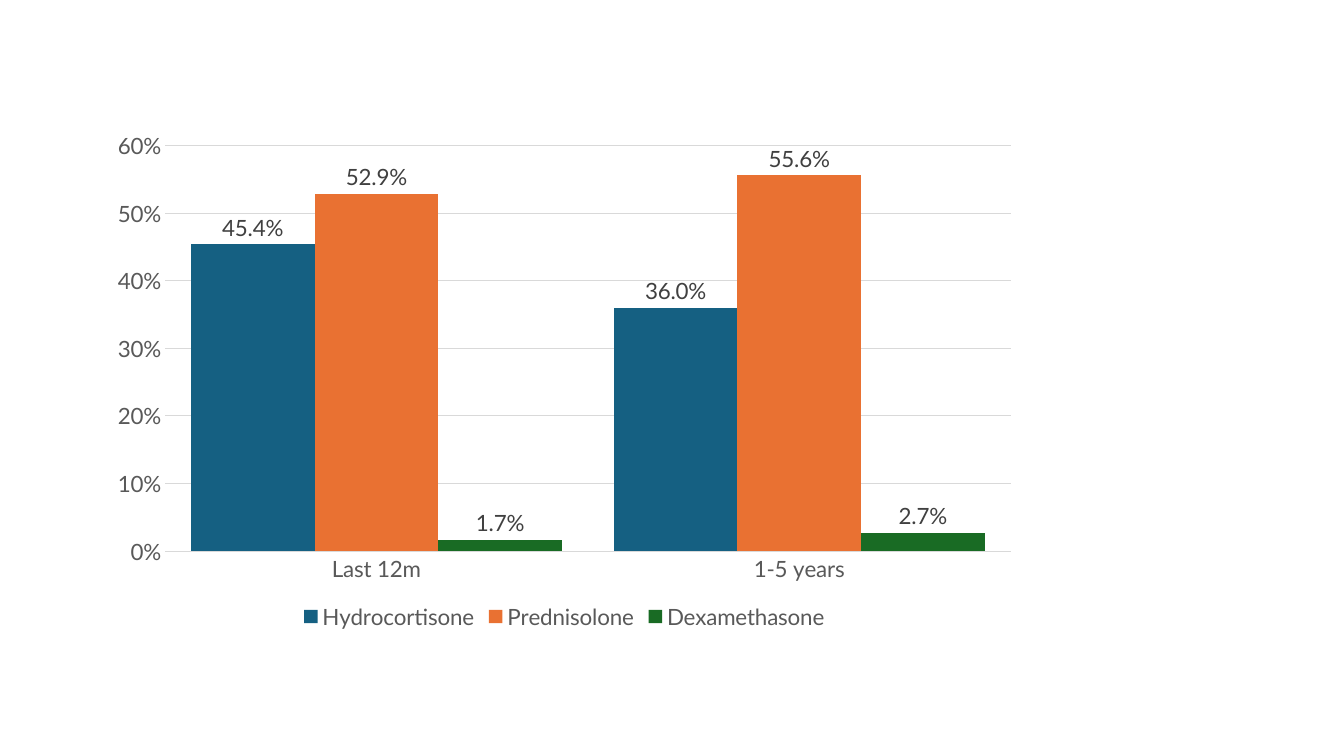
from pptx import Presentation
from pptx import util as u
from pptx.chart.data import CategoryChartData
from pptx.dml.color import RGBColor
from pptx.enum import chart as ch

PERIODS = ["Last 12m", "1-5 years"]
STEROIDS = [
    ("Hydrocortisone", "156082", (0.454, 0.36)),
    ("Prednisolone", "E97132", (0.529, 0.556)),
    ("Dexamethasone", "196B24", (0.017, 0.027)),
]


def rgb(value):
    """Return the colour for a hex string."""
    return RGBColor.from_string(value)


def style_font(font, size=16, color="595959", name="Lato"):
    """Format the text of one chart part."""
    font.size = u.Pt(size)
    font.name = name
    font.bold = False
    font.color.rgb = rgb(color)


def style_axes(chart):
    """Format both axes and the horizontal gridlines."""
    for axis in (chart.category_axis, chart.value_axis):
        axis.major_tick_mark = axis.minor_tick_mark = ch.XL_TICK_MARK.NONE
        axis.format.line.fill.background()
        style_font(axis.tick_labels.font)
    axis = chart.value_axis
    axis.minimum_scale, axis.maximum_scale, axis.major_unit = 0, 0.6, 0.1
    axis.tick_labels.number_format = "0%"
    axis.tick_labels.number_format_is_linked = False
    grid = axis.major_gridlines.format.line
    grid.width = u.Pt(0.75)
    grid.color.rgb = rgb("D9D9D9")


def style_series(series, color):
    """Colour one series and label its columns."""
    series.format.fill.solid()
    series.format.fill.fore_color.rgb = rgb(color)
    series.invert_if_negative = False
    labels = series.data_labels
    labels.show_value = True
    labels.number_format = "0.0%"
    labels.number_format_is_linked = False
    labels.position = ch.XL_LABEL_POSITION.OUTSIDE_END
    style_font(labels.font, color="404040")


def add_steroid_chart(slide, left, top, width, height):
    """Place the clustered column chart in the given box."""
    data = CategoryChartData(number_format="0.0%")
    data.categories = PERIODS
    for name, _, values in STEROIDS:
        data.add_series(name, values)
    chart = slide.shapes.add_chart(
        ch.XL_CHART_TYPE.COLUMN_CLUSTERED, left, top, width, height, data
    ).chart
    style_font(chart.font, color="000000")
    chart.has_title = False
    chart.has_legend = True
    chart.legend.position = ch.XL_LEGEND_POSITION.BOTTOM
    chart.legend.include_in_layout = False
    style_font(chart.legend.font)
    style_axes(chart)
    plot = chart.plots[0]
    plot.gap_width = 42
    plot.overlap = 0
    plot.vary_by_categories = False
    for series, (_, color, _) in zip(plot.series, STEROIDS):
        style_series(series, color)


def main():
    """Build and save the slide."""
    prs = Presentation()
    prs.slide_width, prs.slide_height = u.Cm(33.87), u.Cm(19.05)
    slide = prs.slides.add_slide(prs.slide_layouts[6])
    add_steroid_chart(slide, u.Cm(2.5), u.Cm(3.08), u.Cm(23.44), u.Cm(12.9))
    prs.save("out.pptx")


if __name__ == "__main__":
    main()
